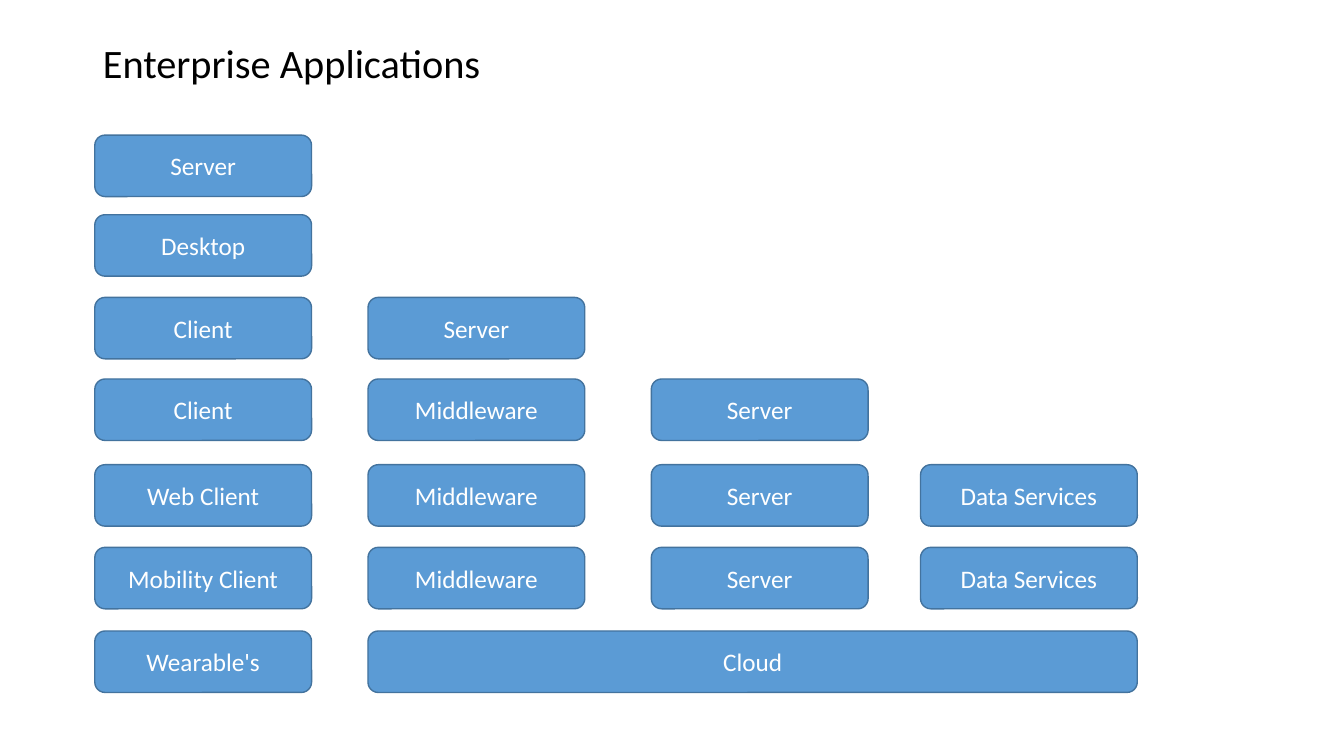
from dataclasses import dataclass

from pptx import Presentation
from pptx.dml.color import RGBColor
from pptx.enum.shapes import MSO_SHAPE
from pptx.enum.text import MSO_ANCHOR, MSO_AUTO_SIZE, PP_ALIGN
from pptx.util import Inches, Pt

ROUNDED = MSO_SHAPE.ROUNDED_RECTANGLE
MIDDLE = MSO_ANCHOR.MIDDLE
NO_AUTOFIT = MSO_AUTO_SIZE.NONE
LEFT, CENTER = PP_ALIGN.LEFT, PP_ALIGN.CENTER


@dataclass(frozen=True)
class Theme:
    font: str = "Calibri"
    title_size: float = 28.8
    tier_size: float = 18
    title_color: str = "000000"
    tier_color: str = "FFFFFF"
    tier_fill: str = "5B9BD5"
    tier_line: str = "43739E"


THEME = Theme()

HEADING = "Enterprise Applications"
GENERATIONS = [
    (1.34, ["Server"]),
    (2.13, ["Desktop"]),
    (2.95, ["Client", "Server"]),
    (3.76, ["Client", "Middleware", "Server"]),
    (4.61, ["Web Client", "Middleware", "Server", "Data Services"]),
    (5.43, ["Mobility Client", "Middleware", "Server", "Data Services"]),
    (6.26, ["Wearable's", "Cloud"]),
]
SPANS = {"Cloud": 3}

COLUMN_LEFTS = [0.94, 3.65, 6.46, 9.13]
TIER_WIDTH, TIER_HEIGHT = 2.15, 0.61


def write(frame, text, *, size, color, align, line_spacing=1.0):
    frame.word_wrap = True
    frame.auto_size = NO_AUTOFIT
    frame.vertical_anchor = MIDDLE
    paragraph = frame.paragraphs[0]
    paragraph.alignment = align
    paragraph.line_spacing = line_spacing
    run = paragraph.add_run()
    run.text = text
    run.font.name = THEME.font
    run.font.size = Pt(size)
    run.font.color.rgb = RGBColor.from_string(color)


def add_tier(slide, label, column, top):
    left = COLUMN_LEFTS[column]
    last_column = column + SPANS.get(label, 1) - 1
    width = COLUMN_LEFTS[last_column] + TIER_WIDTH - left
    tier = slide.shapes.add_shape(
        ROUNDED, Inches(left), Inches(top), Inches(width), Inches(TIER_HEIGHT)
    )
    tier.shadow.inherit = False
    tier.fill.solid()
    tier.fill.fore_color.rgb = RGBColor.from_string(THEME.tier_fill)
    tier.line.color.rgb = RGBColor.from_string(THEME.tier_line)
    tier.line.width = Pt(1)
    write(tier.text_frame, label, size=THEME.tier_size,
          color=THEME.tier_color, align=CENTER)


deck = Presentation()
deck.slide_width, deck.slide_height = Inches(13.33), Inches(7.5)
slide = deck.slides.add_slide(deck.slide_layouts[5])

heading = slide.shapes.title
heading.left, heading.top = Inches(0.92), Inches(0.4)
heading.width, heading.height = Inches(9.71), Inches(0.49)
write(heading.text_frame, HEADING, size=THEME.title_size,
      color=THEME.title_color, align=LEFT, line_spacing=0.9)

for top, tiers in GENERATIONS:
    for column, label in enumerate(tiers):
        add_tier(slide, label, column, top)

deck.save("out.pptx")
